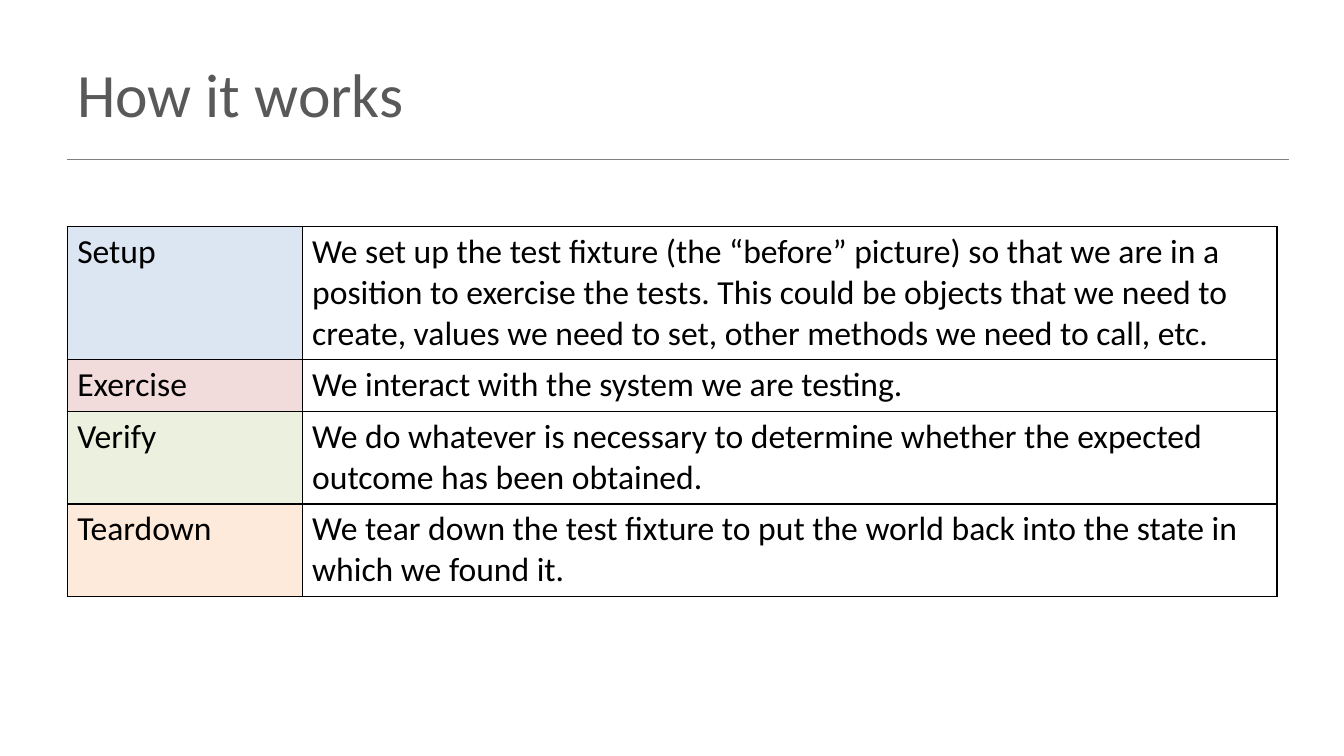
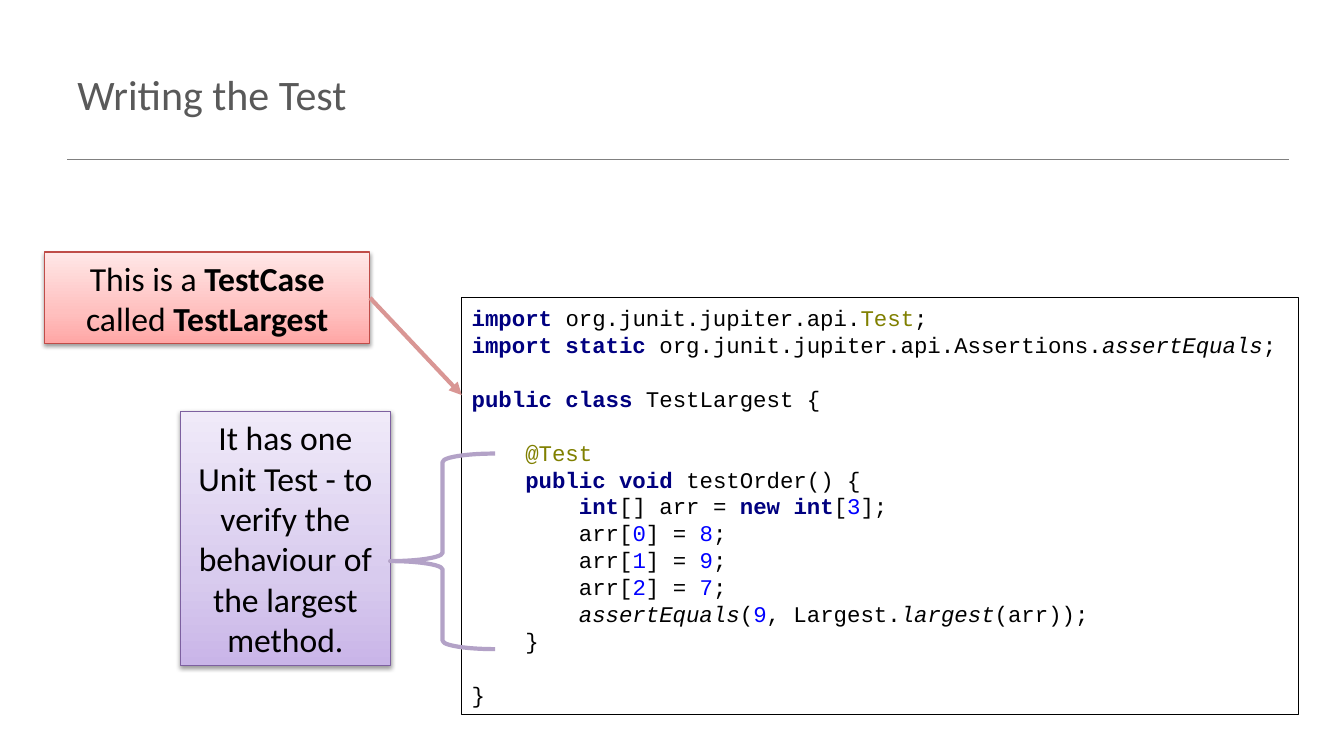
"""Build two slides on unit testing: the test phases and an annotated test class."""
import copy

import lxml.etree
import pptx
import pptx.dml.color
import pptx.enum.dml
import pptx.enum.shapes
import pptx.enum.text
import pptx.oxml.ns
import pptx.util

WIDTH, HEIGHT = 13.33, 7.5
MARGIN = WIDTH / 20
CONTENT_WIDTH = 12
BLACK, WHITE, GREY, RULE_GREY = "000000", "FFFFFF", "595959", "808080"
RECTANGLE = pptx.enum.shapes.MSO_SHAPE.RECTANGLE
MIDDLE = pptx.enum.text.MSO_ANCHOR.MIDDLE
LEFT, CENTER = pptx.enum.text.PP_ALIGN.LEFT, pptx.enum.text.PP_ALIGN.CENTER

BODY = {"name": "Calibri", "size": 24, "color": BLACK}
CODE = {"name": "Courier New", "size": 16, "color": BLACK}
STYLES = {
    "plain": {},
    "bold": {"bold": True},
    "keyword": {"bold": True, "color": "000080"},
    "annotation": {"color": "808000"},
    "number": {"color": "0000FF"},
    "static": {"italic": True},
}

PHASES = [
    ("Setup", "DCE6F2", 1.32,
     "We set up the test fixture (the “before” picture) so that we are in a position to exercise "
     "the tests. This could be objects that we need to create, values we need to set, other "
     "methods we need to call, etc."),
    ("Exercise", "F2DCDB", 0.51, "We interact with the system we are testing."),
    ("Verify", "EBF1DE", 0.92,
     "We do whatever is necessary to determine whether the expected outcome has been obtained."),
    ("Teardown", "FDEADA", 0.92,
     "We tear down the test fixture to put the world back into the state in which we found it."),
]
PHASE_COLUMNS = (2.33, 9.67)


def assignment(index, value):
    """Return the tokens of one array assignment."""
    return [("        arr[", "plain"), (index, "number"), ("] = ", "plain"),
            (value, "number"), (";", "plain")]


CODE_LINES = [
    [("import ", "keyword"), ("org.junit.jupiter.api.", "plain"), ("Test", "annotation"),
     (";", "plain")],
    [("import static ", "keyword"), ("org.junit.jupiter.api.Assertions.", "plain"),
     ("assertEquals", "static"), (";", "plain")],
    [],
    [("public class ", "keyword"), ("TestLargest {", "plain")],
    [],
    [("    @Test", "annotation")],
    [("    public void ", "keyword"), ("testOrder() {", "plain")],
    [("        int", "keyword"), ("[] arr = ", "plain"), ("new int", "keyword"),
     ("[", "plain"), ("3", "number"), ("];", "plain")],
    *[assignment(index, value) for index, value in zip("012", "897")],
    [("        assertEquals", "static"), ("(", "plain"), ("9", "number"),
     (", Largest.", "plain"), ("largest", "static"), ("(arr));", "plain")],
    [("    }", "plain")],
    [],
    [("}", "plain")],
]
CODE_BOX = (4.58, 2.95, 8.3, 4.14)
CALLOUTS = [
    {"box": (0.44, 2.5, 3.23, 0.91), "line": "BF4C48",
     "stops": [(0, "FFA6A5"), (0.35, "FFC0BF"), (1, "FFE7E7")],
     "text": [("This is a ", "plain"), ("TestCase", "bold"), (" called ", "plain"),
              ("TestLargest", "bold")]},
    {"box": (1.79, 4.08, 2.08, 2.52), "line": "7D60A0",
     "stops": [(0, "C9B5E8"), (0.35, "D8CBEE"), (1, "F0EAF9")],
     "text": [("It has one Unit Test - to verify the behaviour of the largest method.", "plain")]},
]
ARROW_END = (CODE_BOX[0], 3.92)
BRACE_BOX = (3.87, 4.5, 1.04, 1.94)
BRACE_ADJUSTMENTS = (0.08, 0.55)


def rgb(value):
    """Turn a hex string into a colour."""
    return pptx.dml.color.RGBColor.from_string(value)


def inches(values):
    """Turn numbers into lengths."""
    return [pptx.util.Inches(value) for value in values]


def add_element(parent, tag, **attributes):
    """Append a drawing element with the given attributes."""
    return lxml.etree.SubElement(parent, pptx.oxml.ns.qn(tag), attributes)


def set_font(font, formats):
    """Apply a dict of format values to a font."""
    for key, value in formats.items():
        if key == "color":
            font.color.rgb = rgb(value)
        else:
            setattr(font, key, pptx.util.Pt(value) if key == "size" else value)


def set_line(line, color, width):
    """Set the colour and the width in points of a line."""
    line.color.rgb = rgb(color)
    line.width = pptx.util.Pt(width)


def write_lines(text_frame, lines, base, alignment=LEFT):
    """Write lines of styled tokens into one paragraph."""
    paragraph = text_frame.paragraphs[0]
    paragraph.alignment = alignment
    for number, tokens in enumerate(lines):
        if number:
            paragraph.add_line_break()
            properties = add_element(paragraph._p[-1], "a:rPr", sz=str(base["size"] * 100))
            add_element(properties, "a:latin", typeface=base["name"])
        for text, style in tokens:
            run = paragraph.add_run()
            run.text = text
            set_font(run.font, {**base, **STYLES[style]})


def add_line(slide, start, end, color, width):
    """Draw a straight line without a shadow."""
    connector = slide.shapes.add_connector(
        pptx.enum.shapes.MSO_CONNECTOR.STRAIGHT, *inches(start + end))
    set_line(connector.line, color, width)
    add_element(connector._element.spPr, "a:effectLst")
    return connector


def add_box(slide, box, line_color):
    """Draw an outlined rectangle with wrapped, centred-height text."""
    shape = slide.shapes.add_shape(RECTANGLE, *inches(box))
    shape.shadow.inherit = False
    set_line(shape.line, line_color, 0.75)
    shape.text_frame.word_wrap = True
    shape.text_frame.vertical_anchor = MIDDLE
    return shape


def add_titled_slide(presentation, title, size):
    """Add a slide with the shared title style and rule."""
    slide = presentation.slides.add_slide(presentation.slide_layouts[5])
    add_line(slide, (MARGIN, 1.58), (12.78, 1.58), RULE_GREY, 1)
    shape = slide.shapes.title
    shape.left, shape.top, shape.width, shape.height = inches((MARGIN, 0.3, CONTENT_WIDTH, 1.25))
    shape.text_frame.vertical_anchor = MIDDLE
    write_lines(shape.text_frame, [[(title, "plain")]],
                {"name": "Calibri", "size": size, "color": GREY})
    return slide


def fill_cell(cell, text, color):
    """Give a table cell its borders, fill and text."""
    properties = cell._tc.get_or_add_tcPr()
    for side in ("a:lnL", "a:lnR", "a:lnT", "a:lnB"):
        border = add_element(properties, side, w=str(pptx.util.Pt(1)))
        add_element(add_element(border, "a:solidFill"), "a:srgbClr", val=BLACK)
    cell.fill.solid()
    cell.fill.fore_color.rgb = rgb(color)
    write_lines(cell.text_frame, [[(text, "plain")]], BODY)


def add_phase_table(slide):
    """Add the table of test phases."""
    height = sum(phase[2] for phase in PHASES)
    table = slide.shapes.add_table(
        len(PHASES), len(PHASE_COLUMNS), *inches((MARGIN, 2.25, CONTENT_WIDTH, height))).table
    table.first_row = table.horz_banding = False
    for column, width in zip(table.columns, inches(PHASE_COLUMNS)):
        column.width = width
    for row, (name, color, row_height, description) in zip(table.rows, PHASES):
        row.height = pptx.util.Inches(row_height)
        fill_cell(row.cells[0], name, color)
        fill_cell(row.cells[1], description, WHITE)


def add_callout(slide, callout):
    """Add a shaded callout with a soft shadow."""
    shape = add_box(slide, callout["box"], callout["line"])
    shape.fill.gradient()
    shape.fill.gradient_angle = 90
    first_stop = shape.fill._xPr.find(".//" + pptx.oxml.ns.qn("a:gs"))
    first_stop.addnext(copy.deepcopy(first_stop))
    for stop, (position, color) in zip(shape.fill.gradient_stops, callout["stops"]):
        stop.position = position
        stop.color.rgb = rgb(color)
    effects = shape._element.spPr.find(pptx.oxml.ns.qn("a:effectLst"))
    shadow = add_element(effects, "a:outerShdw", blurRad=str(pptx.util.Pt(3.1)),
                         dist=str(pptx.util.Pt(1.6)), dir="5400000", rotWithShape="0")
    add_element(add_element(shadow, "a:srgbClr", val=BLACK), "a:alpha", val="38000")
    write_lines(shape.text_frame, [callout["text"]], BODY, CENTER)
    return shape


def add_arrow(slide, source):
    """Point from the right side of a callout to the class declaration."""
    arrow = add_line(slide, (0, 0), ARROW_END, "D99694", 3)
    arrow.begin_connect(source, 3)
    add_element(arrow.line._get_or_add_ln(), "a:tailEnd", type="triangle")


def add_brace(slide):
    """Bracket the test method."""
    brace = slide.shapes.add_shape(pptx.enum.shapes.MSO_SHAPE.LEFT_BRACE, *inches(BRACE_BOX))
    brace.shadow.inherit = False
    brace.fill.background()
    set_line(brace.line, "B3A2C7", 3)
    for index, value in enumerate(BRACE_ADJUSTMENTS):
        brace.adjustments[index] = value


def main():
    """Build and save the presentation."""
    presentation = pptx.Presentation()
    presentation.slide_width, presentation.slide_height = inches((WIDTH, HEIGHT))

    add_phase_table(add_titled_slide(presentation, "How it works", 44))

    slide = add_titled_slide(presentation, "Writing the Test", 30)
    code_box = add_box(slide, CODE_BOX, BLACK)
    code_box.fill.solid()
    code_box.fill.fore_color.rgb = rgb(WHITE)
    write_lines(code_box.text_frame, CODE_LINES, CODE)
    class_callout, _ = [add_callout(slide, callout) for callout in CALLOUTS]
    add_arrow(slide, class_callout)
    add_brace(slide)

    presentation.save("out.pptx")


if __name__ == "__main__":
    main()
